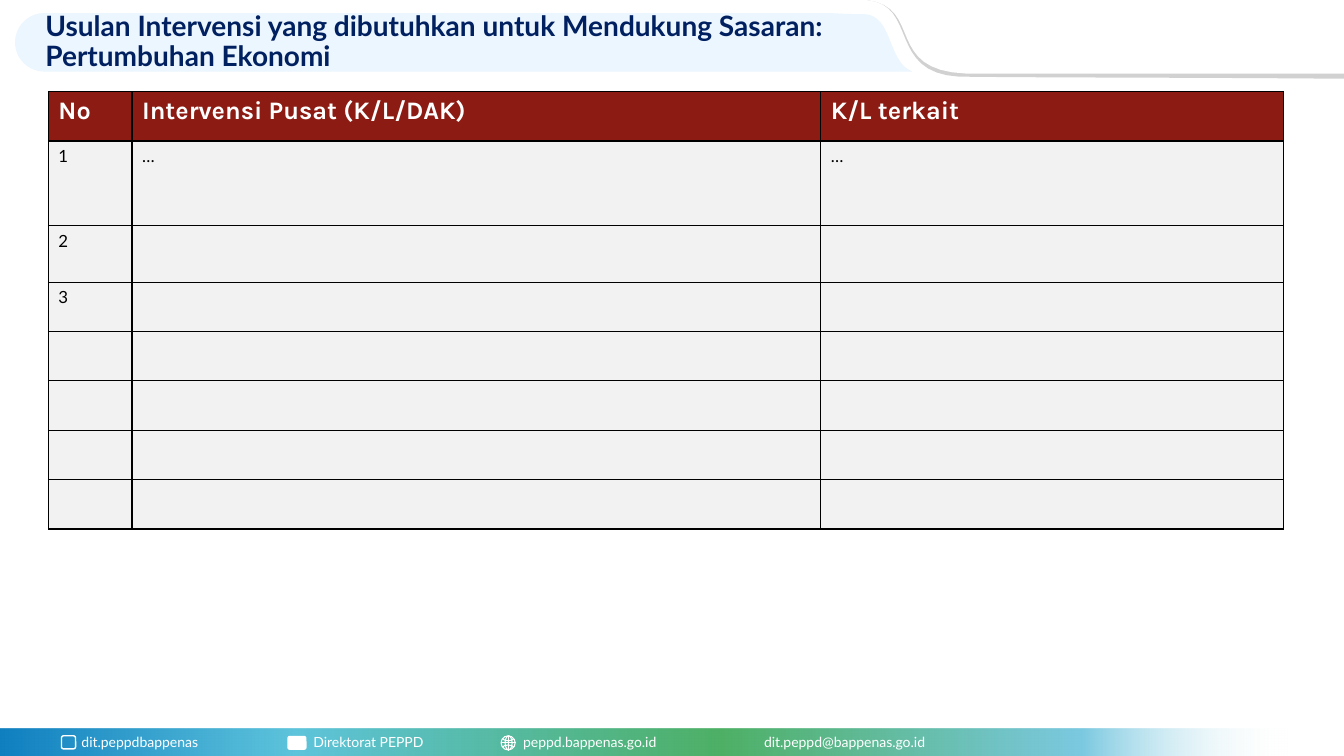
from lxml import etree
from pptx import Presentation
from pptx.dml.color import RGBColor
from pptx.enum.shapes import MSO_CONNECTOR, MSO_SHAPE as Shape
from pptx.enum.text import MSO_ANCHOR, MSO_AUTO_SIZE, PP_ALIGN
from pptx.oxml import parse_xml
from pptx.oxml.ns import nsdecls, qn
from pptx.util import Inches, Pt

WHITE = "FFFFFF"
BAND = [(0.44, 0.13), (8.24, 0.13), (8.39, 0.14, 8.48, 0.14, 8.57, 0.14),
        (8.86, 0.15, 8.8, 0.62, 9.05, 0.71), (0.44, 0.71),
        (0.28, 0.71, 0.15, 0.58, 0.15, 0.42), (0.15, 0.26, 0.28, 0.13, 0.44, 0.13)]
SWOOSH_EDGE = [(13.33, -0.01), (13.33, 0.78), (13.19, 0.78),
               (12.18, 0.77, 10.19, 0.77, 9.51, 0.76), (8.8, 0.72, 9.11, 0.05, 8.6, 0)]
SWOOSH = [(8.6, 0), (13.33, 0), (13.33, 0.73), (9.58, 0.73),
          (8.77, 0.7, 9.16, 0.07, 8.6, 0)]
FOOTER_STOPS = [(0, "0F7FC0", 100), (23, "5EC4DC", 100), (56, "4EB065", 100),
                (84, "7BC9E1", 100), (100, WHITE, 0)]
CONTACTS = [(0.71, 1.81, "dit.peppdbappenas"), (3.01, 1.63, "Direktorat PEPPD"),
            (5.09, 2.05, "peppd.bappenas.go.id"), (7.48, 2.44, "dit.peppd@bappenas.go.id")]
COLUMNS = [0.83, 6.83, 4.59]
ROW_HEIGHTS = [0.49, 0.84, 0.56] + [0.49] * 5
HEADINGS = ["No", "Intervensi Pusat (K/L/DAK)", "K/L terkait"]
ENTRIES = [["1", "…", "…"], ["2", "", ""], ["3", "", ""]] + [["", "", ""]] * 4


def color(value):
    return RGBColor.from_string(value)


def paint(shape, fill=None, line=None, weight=1):
    shape.shadow.inherit = False
    if fill:
        shape.fill.solid()
        shape.fill.fore_color.rgb = color(fill)
    else:
        shape.fill.background()
    if line:
        shape.line.color.rgb = color(line)
        shape.line.width = Pt(weight)
    else:
        shape.line.fill.background()


def add_preset(page, kind, place, fill=None, line=None, weight=1):
    shape = page.shapes.add_shape(kind, *map(Inches, place))
    paint(shape, fill, line, weight)
    return shape


def curve_points(start, curve, steps=16):
    knots = [start, curve[:2], curve[2:4], curve[4:]]
    for step in range(1, steps + 1):
        t = step / steps
        weights = [(1 - t) ** 3, 3 * t * (1 - t) ** 2, 3 * t * t * (1 - t), t ** 3]
        yield tuple(sum(w * knot[axis] for w, knot in zip(weights, knots)) for axis in (0, 1))


def add_outline(page, segments, fill):
    points = [segments[0]]
    for segment in segments[1:]:
        points.extend([segment] if len(segment) == 2 else curve_points(points[-1], segment))
    corners = [(Inches(x), Inches(y)) for x, y in points]
    builder = page.shapes.build_freeform(*corners[0])
    builder.add_line_segments(corners[1:], close=True)
    paint(builder.convert_to_shape(), fill)


def add_line(page, start, end):
    line = page.shapes.add_connector(MSO_CONNECTOR.STRAIGHT, *map(Inches, start + end))
    line.line.color.rgb = color(WHITE)
    line.line.width = Pt(0.75)
    etree.SubElement(line.element.spPr, qn("a:effectLst"))


def write(para, text, size, font, hue, bold=False):
    span = para.add_run()
    span.text = text
    span.font.size = Pt(size)
    span.font.name = font
    span.font.bold = bold
    span.font.color.rgb = color(hue)


def add_contact(page, left, width, text):
    box = page.shapes.add_textbox(*map(Inches, (left, 7.23, width, 0.27)))
    box.text_frame.word_wrap = True
    write(box.text_frame.paragraphs[0], text, 10, "Lato", WHITE)


def add_footer_bar(page):
    bar = add_preset(page, Shape.RECTANGLE, (-0.01, 7.23, 12.78, 0.28), WHITE)
    stops = "".join(
        f'<a:gs pos="{spot * 1000}"><a:srgbClr val="{hue}">'
        f'<a:alpha val="{alpha * 1000}"/></a:srgbClr></a:gs>'
        for spot, hue, alpha in FOOTER_STOPS)
    gradient = parse_xml(f'<a:gradFill {nsdecls("a")} rotWithShape="1">'
                         f'<a:gsLst>{stops}</a:gsLst><a:lin ang="0" scaled="0"/></a:gradFill>')
    solid = bar.element.spPr.find(qn("a:solidFill"))
    solid.getparent().replace(solid, gradient)


def add_globe(page):
    for left, width in ((4.97, 0.14), (5.01, 0.07)):
        add_preset(page, Shape.OVAL, (left, 7.3, width, 0.14), line=WHITE, weight=0.75)
    for top, turn in ((7.37, 270), (7.23, 90)):
        arc = add_preset(page, Shape.ARC, (4.99, top, 0.1, 0.14), line=WHITE, weight=0.75)
        arc.adjustments[0] = 179.02
        arc.adjustments[1] = 37.2
        arc.rotation = turn
    add_line(page, (4.97, 7.37), (5.12, 7.37))
    add_line(page, (5.04, 7.3), (5.04, 7.45))


def set_title(page, text):
    title = page.shapes.title
    title.element.getparent().append(title.element)
    title.left, title.top, title.width, title.height = map(Inches, (0.35, 0.18, 8.55, 0.48))
    frame = title.text_frame
    frame.word_wrap = True
    frame.auto_size = MSO_AUTO_SIZE.NONE
    frame.vertical_anchor = MSO_ANCHOR.MIDDLE
    para = frame.paragraphs[0]
    para.alignment = PP_ALIGN.LEFT
    para.line_spacing = 0.9
    write(para, text, 20, "Lato", "002060", True)


def set_borders(cell):
    properties = cell._tc.get_or_add_tcPr()
    for index, side in enumerate(("lnL", "lnR", "lnT", "lnB")):
        properties.insert(index, parse_xml(
            f'<a:{side} {nsdecls("a")} w="{Pt(1)}"><a:solidFill>'
            f'<a:srgbClr val="000000"/></a:solidFill></a:{side}>'))


def add_interventions(page):
    rows = [HEADINGS] + ENTRIES
    place = (0.48, 0.91, sum(COLUMNS), sum(ROW_HEIGHTS))
    table = page.shapes.add_table(len(rows), len(COLUMNS), *map(Inches, place)).table
    table.first_row = table.horz_banding = False
    for column, width in zip(table.columns, COLUMNS):
        column.width = Inches(width)
    for number, (row, height, texts) in enumerate(zip(table.rows, ROW_HEIGHTS, rows)):
        row.height = Inches(height)
        style = (12, "Lato", "000000") if number else (18, "Karla", WHITE, True)
        for cell, text in zip(row.cells, texts):
            cell.fill.solid()
            cell.fill.fore_color.rgb = color("F2F2F2" if number else "8C1C13")
            set_borders(cell)
            if text:
                write(cell.text_frame.paragraphs[0], text, *style)


def main():
    deck = Presentation()
    deck.slide_width, deck.slide_height = Inches(13.33), Inches(7.5)
    page = deck.slides.add_slide(deck.slide_layouts[5])
    add_outline(page, BAND, "ECF6FE")
    add_outline(page, SWOOSH_EDGE, "D1D1D1")
    add_outline(page, SWOOSH, WHITE)
    add_footer_bar(page)
    add_preset(page, Shape.ROUNDED_RECTANGLE, (0.61, 7.3, 0.14, 0.13), line=WHITE)
    add_preset(page, Shape.ROUNDED_RECTANGLE, (2.85, 7.3, 0.19, 0.14), WHITE)
    add_globe(page)
    for contact in CONTACTS:
        add_contact(page, *contact)
    set_title(page, "Usulan Intervensi yang dibutuhkan untuk Mendukung Sasaran: "
                    "Pertumbuhan Ekonomi")
    add_interventions(page)
    deck.save("out.pptx")


if __name__ == "__main__":
    main()
